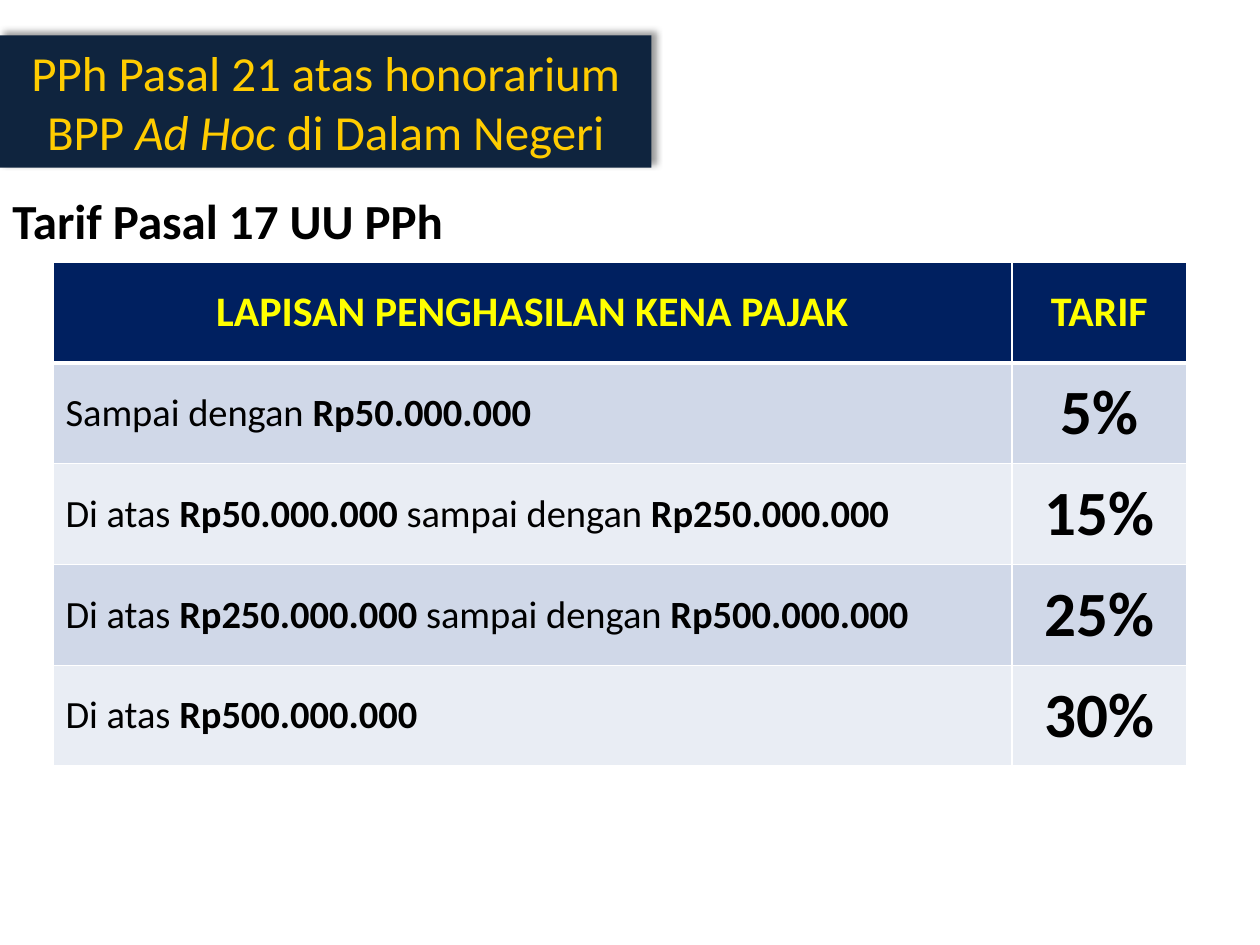
from dataclasses import dataclass

from lxml import etree
from pptx import Presentation
from pptx.dml.color import RGBColor
from pptx.enum.text import MSO_ANCHOR, MSO_AUTO_SIZE, PP_ALIGN
from pptx.oxml import parse_xml
from pptx.oxml.ns import nsdecls, qn
from pptx.util import Inches, Pt


@dataclass(frozen=True)
class Theme:
    font: str = "Calibri"
    banner: str = "0F243E"
    banner_text: str = "FFCC00"
    header: str = "002060"
    header_text: str = "FFFF00"
    bands: tuple = ("D0D8E8", "E9EDF4")
    text: str = "000000"
    rule: str = "FFFFFF"
    heading_size: int = 28
    header_size: int = 24
    bracket_size: int = 22
    rate_size: int = 36


class SlideBuilder:
    def __init__(self, slide, theme):
        self.slide = slide
        self.theme = theme

    def add_runs(self, paragraph, parts, size, color, align=PP_ALIGN.LEFT):
        """Fill a paragraph with (text, style) parts; style is "", "b" or "i"."""
        paragraph.alignment = align
        for text, style in parts:
            run = paragraph.add_run()
            run.text = text
            run.font.name = self.theme.font
            run.font.size = Pt(size)
            run.font.bold = style == "b"
            run.font.italic = style == "i"
            run.font.color.rgb = RGBColor.from_string(color)

    def title(self, parts, left, top, width, height):
        banner = self.slide.shapes.title
        banner.left, banner.top = Inches(left), Inches(top)
        banner.width, banner.height = Inches(width), Inches(height)
        banner.fill.solid()
        banner.fill.fore_color.rgb = RGBColor.from_string(self.theme.banner)
        # Soft shadow towards the upper right
        banner.element.spPr.append(parse_xml(
            f'<a:effectLst {nsdecls("a")}><a:outerShdw blurRad="{Pt(4)}" dist="{Pt(3)}" '
            'dir="18900000" algn="bl" rotWithShape="0"><a:srgbClr val="000000">'
            '<a:alpha val="40000"/></a:srgbClr></a:outerShdw></a:effectLst>'))
        frame = banner.text_frame
        frame.word_wrap = True
        frame.auto_size = MSO_AUTO_SIZE.NONE
        frame.vertical_anchor = MSO_ANCHOR.MIDDLE
        self.add_runs(frame.paragraphs[0], parts, self.theme.heading_size,
                      self.theme.banner_text, PP_ALIGN.CENTER)

    def heading(self, text, left, top, width, height):
        box = self.slide.shapes.add_textbox(
            Inches(left), Inches(top), Inches(width), Inches(height))
        box.text_frame.word_wrap = False
        box.text_frame.auto_size = MSO_AUTO_SIZE.SHAPE_TO_FIT_TEXT
        self.add_runs(box.text_frame.paragraphs[0], [(text, "b")],
                      self.theme.heading_size, self.theme.text)

    def cell(self, cell, parts, size, color, fill, align, top=1, bottom=1):
        properties = cell._tc.get_or_add_tcPr()
        for side, points in (("L", 1), ("R", 1), ("T", top), ("B", bottom)):
            line = etree.SubElement(properties, qn(f"a:ln{side}"), w=str(Pt(points)))
            solid = etree.SubElement(line, qn("a:solidFill"))
            etree.SubElement(solid, qn("a:srgbClr"), val=self.theme.rule)
        cell.fill.solid()
        cell.fill.fore_color.rgb = RGBColor.from_string(fill)
        cell.vertical_anchor = MSO_ANCHOR.MIDDLE
        self.add_runs(cell.text_frame.paragraphs[0], parts, size, color, align)

    def rate_table(self, headers, brackets, left, top, widths, row_height):
        theme = self.theme
        row_count = len(brackets) + 1
        table = self.slide.shapes.add_table(
            row_count, len(widths), Inches(left), Inches(top),
            Inches(sum(widths)), Inches(row_height * row_count)).table
        for column, width in zip(table.columns, widths):
            column.width = Inches(width)
        for row in table.rows:
            row.height = Inches(row_height)
        for index, label in enumerate(headers):
            self.cell(table.cell(0, index), [(label, "b")], theme.header_size,
                      theme.header_text, theme.header, PP_ALIGN.CENTER, bottom=3)
        for number, (bracket, rate) in enumerate(brackets, start=1):
            fill = theme.bands[(number - 1) % 2]
            top_line = 3 if number == 1 else 1
            self.cell(table.cell(number, 0), bracket, theme.bracket_size,
                      theme.text, fill, PP_ALIGN.LEFT, top_line)
            self.cell(table.cell(number, 1), [(rate, "b")], theme.rate_size,
                      theme.text, fill, PP_ALIGN.CENTER, top_line)


BRACKETS = [
    ([("Sampai dengan ", ""), ("Rp50.000.000", "b")], "5%"),
    ([("Di atas ", ""), ("Rp50.000.000 ", "b"),
      ("sampai dengan ", ""), ("Rp250.000.000", "b")], "15%"),
    ([("Di atas ", ""), ("Rp250.000.000 ", "b"),
      ("sampai dengan ", ""), ("Rp500.000.000", "b")], "25%"),
    ([("Di atas ", ""), ("Rp500.000.000", "b")], "30%"),
]


def main():
    presentation = Presentation()
    presentation.slide_width, presentation.slide_height = Inches(10), Inches(7.5)
    title_only = presentation.slide_layouts[5]
    builder = SlideBuilder(presentation.slides.add_slide(title_only), Theme())

    # Title banner
    builder.title([("PPh Pasal 21 atas honorarium BPP ", ""), ("Ad Hoc ", "i"),
                   ("di Dalam Negeri", "")], 0, 0.28, 5.17, 1.05)
    # Subheading
    builder.heading("Tarif Pasal 17 UU PPh", 0, 1.46, 3.66, 0.57)
    # Tax brackets and their rates
    builder.rate_table(["LAPISAN PENGHASILAN KENA PAJAK", "TARIF"], BRACKETS,
                       0.42, 2.08, [7.61, 1.39], 0.8)

    presentation.save("out.pptx")


if __name__ == "__main__":
    main()
